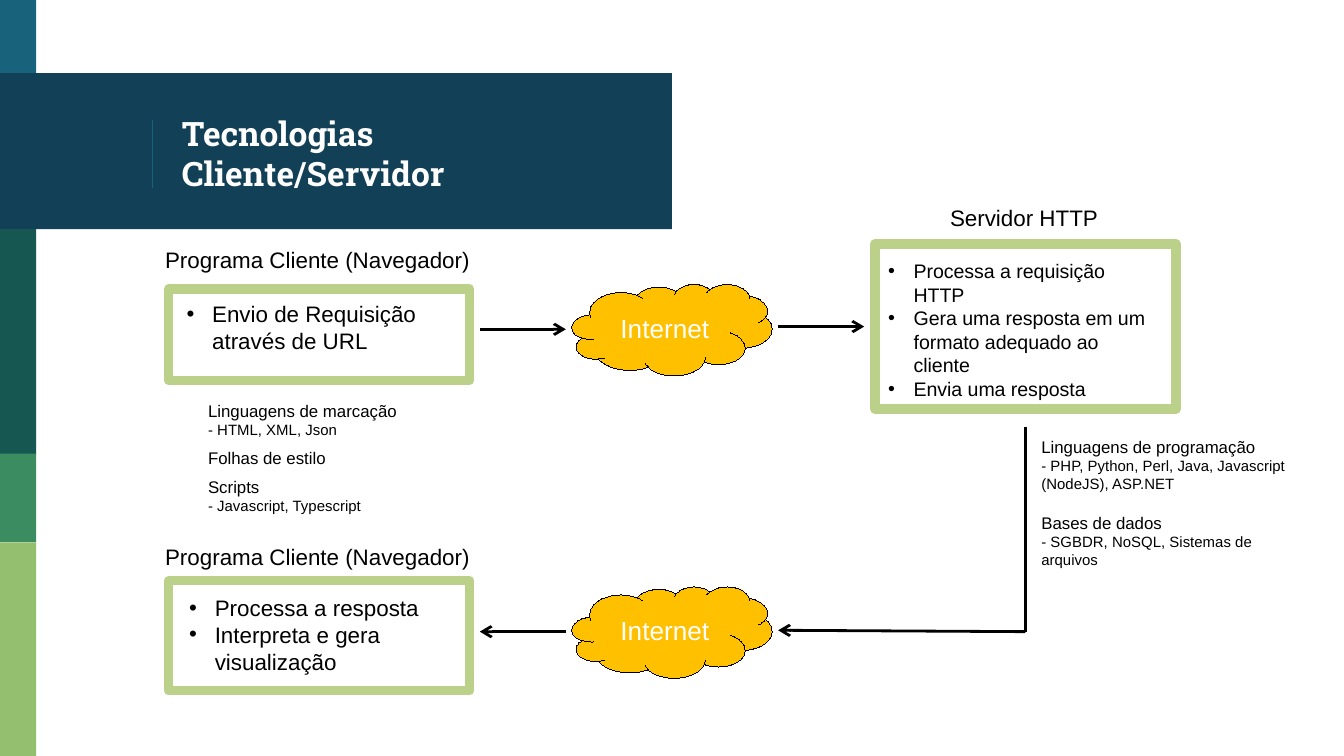
from lxml import etree
from pptx import Presentation
from pptx.dml.color import RGBColor
from pptx.enum.shapes import MSO_CONNECTOR, MSO_SHAPE
from pptx.enum.text import MSO_ANCHOR, PP_ALIGN
from pptx.oxml.ns import qn
from pptx.util import Inches, Pt

RECT, CLOUD = MSO_SHAPE.RECTANGLE, MSO_SHAPE.CLOUD
STRAIGHT = MSO_CONNECTOR.STRAIGHT
MIDDLE, CENTER = MSO_ANCHOR.MIDDLE, PP_ALIGN.CENTER
COLORS = {
    "blue": "18637B", "navy": "124057", "teal": "165751",
    "green": "3B8D61", "lime": "94BF6E", "frame": "BBD189",
    "cloud": "FFC000", "black": "000000", "white": "FFFFFF",
}
RGB = {name: RGBColor.from_string(value) for name, value in COLORS.items()}

deck = Presentation()
deck.slide_width = Inches(10)
deck.slide_height = round(deck.slide_width * 9 / 16)
slide = deck.slides.add_slide(deck.slide_layouts[6])
COL = deck.slide_width / 100
ROW = deck.slide_height / 56.25


def add_block(preset, area, fill=None, line=None, weight=0.01):
    left, top, width, height = area
    block = slide.shapes.add_shape(
        preset, round(left * COL), round(top * ROW), round(width * COL), round(height * ROW))
    block.shadow.inherit = False
    if fill:
        block.fill.solid()
        block.fill.fore_color.rgb = RGB[fill]
    else:
        block.fill.background()
    if line:
        block.line.color.rgb = RGB[line]
        block.line.width = Pt(weight)
        etree.SubElement(block.line._get_or_add_ln(), qn("a:round"))
    else:
        block.line.fill.background()
    return block


def add_text(area, entries, wrap=True, bullets=False):
    left, top, width, height = area
    frame = slide.shapes.add_textbox(
        round(left * COL), round(top * ROW), round(width * COL), round(height * ROW)).text_frame
    frame.word_wrap = wrap
    for index, (words, size, gap) in enumerate(entries):
        paragraph = frame.add_paragraph() if index else frame.paragraphs[0]
        paragraph.text = words
        paragraph.space_before = Pt(gap)
        font = paragraph.runs[0].font
        font.name, font.size, font.color.rgb = "Arial", Pt(size), RGB["black"]
        if bullets:
            props = paragraph._p.get_or_add_pPr()
            props.set("marL", str(Inches(0.19)))
            props.set("indent", str(-Inches(0.19)))
            etree.SubElement(props, qn("a:buFont")).set("typeface", "Arial")
            etree.SubElement(props, qn("a:buChar")).set("char", "•")
    return frame


for color, top, width, height in [
    ("blue", 0, 2.7, 5.8),
    ("navy", 5.45, 50, 11.6),
    ("teal", 17.03, 2.7, 16.8),
    ("green", 33.75, 2.7, 6.6),
    ("lime", 40.35, 2.7, 15.9),
]:
    add_block(RECT, (0, top, width, height), color)

title = add_text((12.55, 5.8, 35.1, 11.2), [("Tecnologias Cliente/Servidor", 18, 0)])
title.vertical_anchor = MIDDLE
title.margin_top = title.margin_bottom = Inches(0.1)
title_font = title.paragraphs[0].runs[0].font
title_font.name, title_font.bold, title_font.color.rgb = "Roboto Slab", True, RGB["white"]

for frame_area in [(12.55, 21.5, 22.4, 6.8), (12.55, 43.2, 22.4, 8.2), (65.1, 18.15, 22.4, 12.3)]:
    add_block(RECT, frame_area, line="frame", weight=5)

for cloud_top in (21.15, 43.65):
    cloud = add_block(CLOUD, (42.55, cloud_top, 14.9, 6.8), "cloud", "black")
    cloud.text_frame.text = "Internet"
    cloud.text_frame.vertical_anchor = MIDDLE
    label = cloud.text_frame.paragraphs[0]
    label.alignment = CENTER
    label_font = label.runs[0].font
    label_font.name, label_font.size, label_font.color.rgb = "Arial", Pt(14), RGB["white"]

for x1, y1, x2, y2, color, weight, arrow_end in [
    (11.35, 8.9, 11.35, 14, "blue", 0.75, None),
    (35.7, 24.5, 42.1, 24.5, "black", 1.5, "a:tailEnd"),
    (57.9, 24.3, 64.3, 24.3, "black", 1.5, "a:tailEnd"),
    (76.3, 31.8, 76.3, 47, "black", 1.5, None),
    (57.9, 46.9, 76.3, 47, "black", 1.5, "a:headEnd"),
    (35.7, 47, 42.1, 47, "black", 1.5, "a:headEnd"),
]:
    flow = slide.shapes.add_connector(
        STRAIGHT, round(x1 * COL), round(y1 * ROW), round(x2 * COL), round(y2 * ROW))
    flow.line.color.rgb = RGB[color]
    flow.line.width = Pt(weight)
    if arrow_end:
        etree.SubElement(flow.line._get_or_add_ln(), qn(arrow_end)).set("type", "arrow")
    etree.SubElement(flow._element.spPr, qn("a:effectLst"))

for left, top, width, heading in [
    (11.3, 17.8, 24.8, "Programa Cliente (Navegador)"),
    (11.3, 39.9, 24.8, "Programa Cliente (Navegador)"),
    (69.7, 14.7, 13.1, "Servidor HTTP"),
]:
    add_text((left, top, width, 3), [(heading, 12, 0)], wrap=False)

for area, size, steps in [
    ((12.9, 21.85, 19.6, 5), 12, ["Envio de Requisição através de URL"]),
    ((13.1, 43.7, 19.6, 7.1), 12, ["Processa a resposta", "Interpreta e gera visualização"]),
    ((65.1, 18.8, 22, 11.6), 10.5, [
        "Processa a requisição HTTP",
        "Gera uma resposta em um formato adequado ao cliente",
        "Envia uma resposta",
    ]),
]:
    add_text(area, [(step, size, 0) for step in steps], bullets=True)

add_text((76.5, 32, 21.6, 10.9), [
    ("Linguagens de programação", 9, 0),
    ("- PHP, Python, Perl, Java, Javascript (NodeJS), ASP.NET", 8, 0),
    ("Bases de dados", 9, 10.6),
    ("- SGBDR, NoSQL, Sistemas de arquivos", 8, 0),
])
add_text((14.5, 29.3, 21.6, 9.8), [
    ("Linguagens de marcação", 9, 0),
    ("- HTML, XML, Json", 8, 0),
    ("Folhas de estilo", 9, 4.8),
    ("Scripts", 9, 4.8),
    ("- Javascript, Typescript", 8, 0),
])

deck.save("out.pptx")
